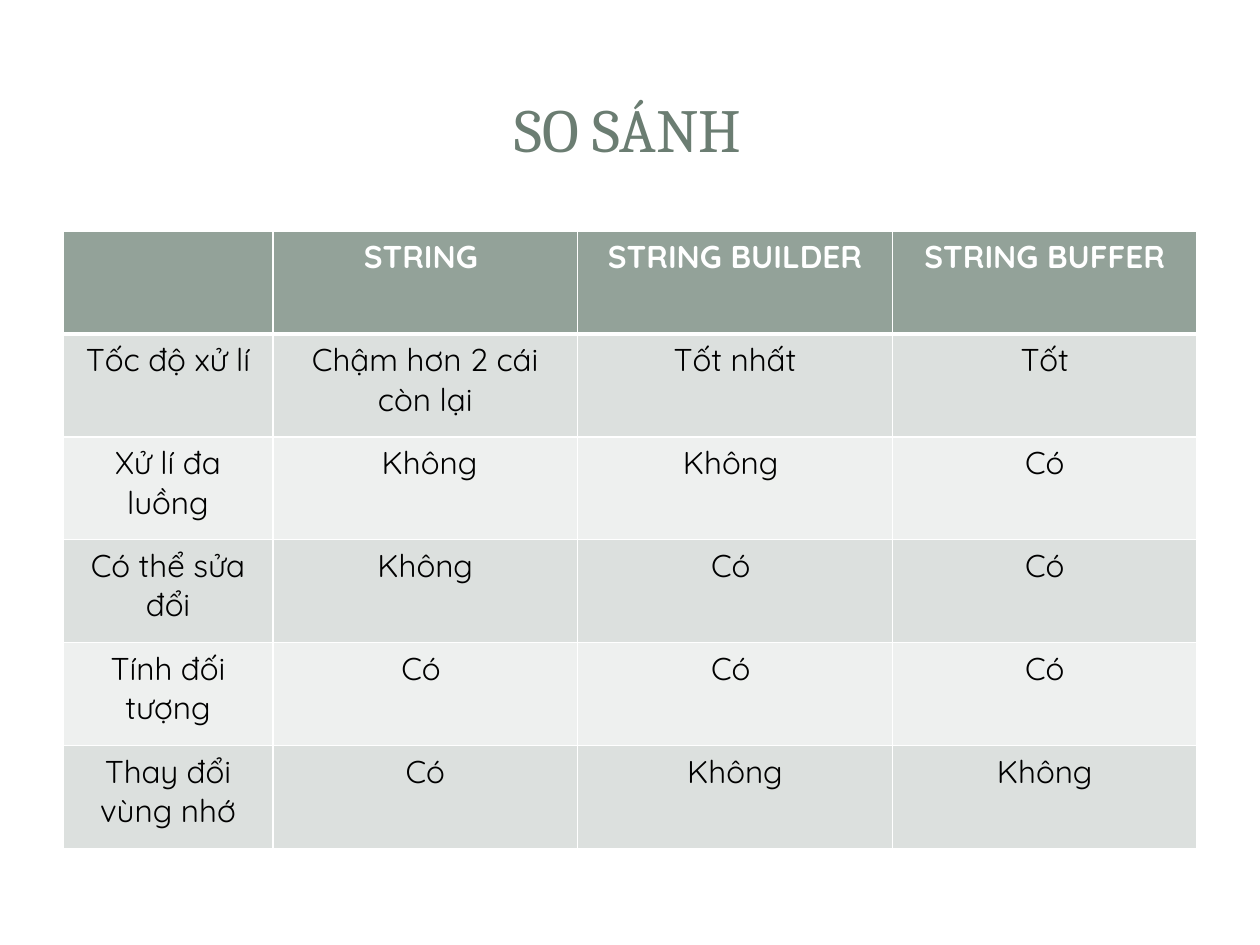
from lxml import etree
from pptx import Presentation
from pptx.dml.color import RGBColor
from pptx.enum.shapes import MSO_SHAPE
from pptx.enum.text import MSO_ANCHOR, PP_ALIGN
from pptx.oxml.ns import qn
from pptx.util import Pt

CENTER = PP_ALIGN.CENTER
MIDDLE = MSO_ANCHOR.MIDDLE
RECTANGLE = MSO_SHAPE.RECTANGLE
ROUNDED = MSO_SHAPE.ROUNDED_RECTANGLE
TITLE_ONLY = 5

COLORS = {
    "white": "FFFFFF",
    "title": "6B7D72",
    "header": "93A299",
    "dark_band": "DCE0DE",
    "light_band": "EEF0EF",
    "text": "000000",
}
COLUMN_WIDTHS = [120, 174, 180, 174]
ROW_HEIGHT = 58.8
COMPARISON = [
    ["", "STRING ", "STRING BUILDER", "STRING BUFFER"],
    ["Tốc độ xử lí", "Chậm hơn 2 cái còn lại", "Tốt nhất", "Tốt"],
    ["Xử lí đa luồng", " Không", "Không ", "Có"],
    ["Có thể sửa đổi", "Không", "Có ", "Có"],
    ["Tính đối tượng", "Có ", "Có ", "Có"],
    ["Thay đổi vùng nhớ", "Có", "Không", "Không"],
]


def color(name):
    return RGBColor.from_string(COLORS[name])


def format_paragraph(paragraph, font_name, size, color_name, bold=False):
    paragraph.alignment = CENTER
    for run in paragraph.runs:
        run.font.name = font_name
        run.font.size = Pt(size)
        run.font.bold = bold
        run.font.color.rgb = color(color_name)


def set_borders(cell, widths):
    """Draw white borders; widths are in points: left, right, top, bottom."""
    properties = cell._tc.get_or_add_tcPr()
    for position, (side, width) in enumerate(zip("LRTB", widths)):
        line = etree.Element(qn(f"a:ln{side}"), w=str(Pt(width)))
        fill = etree.SubElement(line, qn("a:solidFill"))
        etree.SubElement(fill, qn("a:srgbClr"), val=COLORS["white"])
        properties.insert(position, line)


def add_panel(slide, kind, left, top, width, height, opacity=100):
    """Add a white panel behind the title."""
    panel = slide.shapes.add_shape(kind, Pt(left), Pt(top), Pt(width), Pt(height))
    panel.shadow.inherit = False
    panel.line.fill.background()
    panel.fill.solid()
    panel.fill.fore_color.rgb = color("white")
    if opacity < 100:
        fill_color = panel._element.spPr.find(".//" + qn("a:srgbClr"))
        etree.SubElement(fill_color, qn("a:alpha"), val=str(opacity * 1000))
    slide.shapes.title._element.addprevious(panel._element)
    return panel


def add_title(slide, text):
    title = slide.shapes.title
    title.left, title.top = Pt(33.8), Pt(32.4)
    title.width, title.height = Pt(650), Pt(82)
    title.text_frame.text = text
    title.text_frame.vertical_anchor = MIDDLE
    format_paragraph(title.text_frame.paragraphs[0], "Cambria", 35, "title")


def fill_cell(cell, text, row_index):
    is_header = row_index == 0
    if is_header:
        fill_name = "header"
    else:
        fill_name = "dark_band" if row_index % 2 else "light_band"
    cell.fill.solid()
    cell.fill.fore_color.rgb = color(fill_name)
    set_borders(cell, (1, 1, 3 if row_index == 1 else 1, 3 if is_header else 1))
    cell.text_frame.text = text
    format_paragraph(cell.text_frame.paragraphs[0], "Quicksand", 18,
                     "white" if is_header else "text", bold=is_header)


def add_comparison_table(slide, rows):
    frame = slide.shapes.add_table(
        len(rows), len(COLUMN_WIDTHS), Pt(36), Pt(132),
        Pt(sum(COLUMN_WIDTHS)), Pt(ROW_HEIGHT * len(rows)))
    table = frame.table
    for column, width in zip(table.columns, COLUMN_WIDTHS):
        column.width = Pt(width)
    for row_index, texts in enumerate(rows):
        table.rows[row_index].height = Pt(ROW_HEIGHT)
        for column_index, text in enumerate(texts):
            fill_cell(table.cell(row_index, column_index), text, row_index)


def main():
    presentation = Presentation()
    presentation.slide_width, presentation.slide_height = Pt(720), Pt(540)
    slide = presentation.slides.add_slide(presentation.slide_layouts[TITLE_ONLY])
    slide.background.fill.solid()
    slide.background.fill.fore_color.rgb = color("white")
    page = add_panel(slide, ROUNDED, 7.2, 7.9, 705.6, 524.9)
    page.adjustments[0] = 0.017
    add_panel(slide, RECTANGLE, 21.6, 21.6, 676.8, 104.4, opacity=83)
    add_panel(slide, RECTANGLE, 29.5, 29.5, 660.2, 87.8)
    add_title(slide, "SO SÁNH")
    add_comparison_table(slide, COMPARISON)
    presentation.save("out.pptx")


if __name__ == "__main__":
    main()
